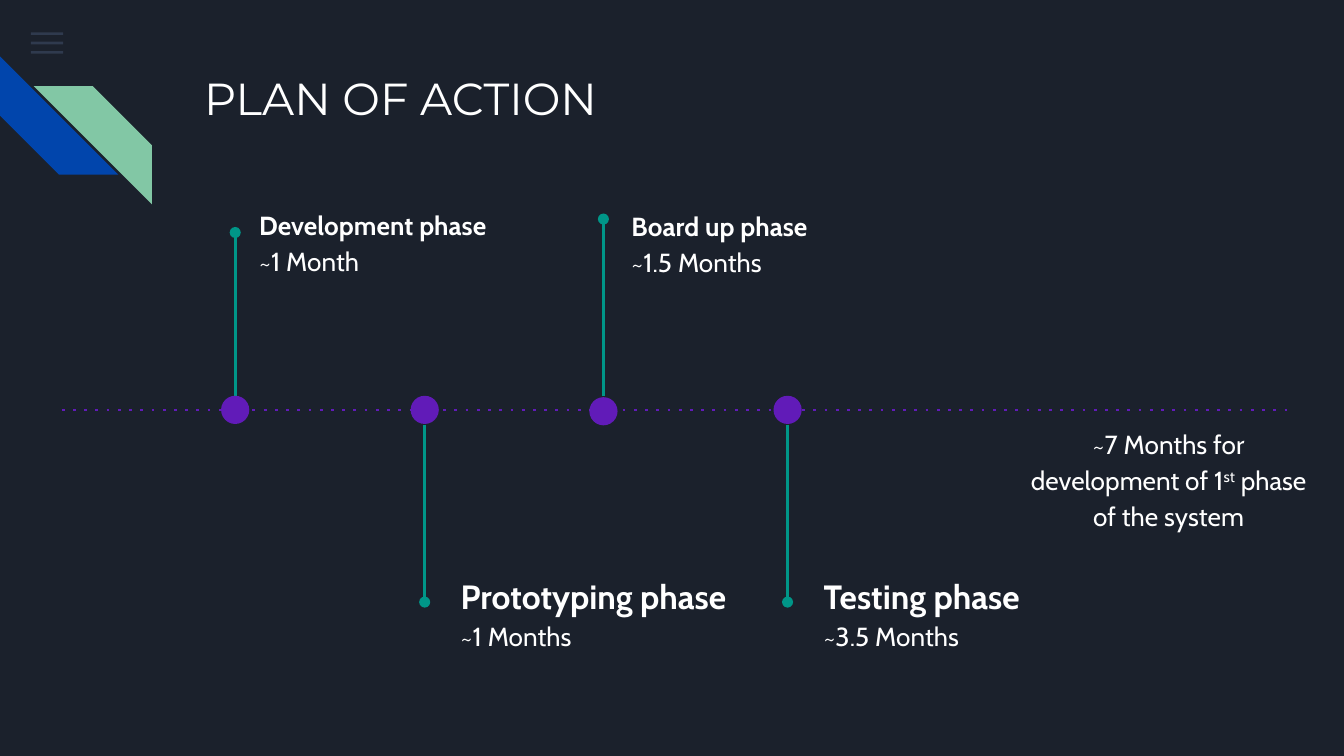
from lxml.etree import SubElement
from pptx import Presentation
from pptx.dml.color import RGBColor
from pptx.enum.shapes import MSO_CONNECTOR, MSO_SHAPE
from pptx.enum.text import PP_ALIGN
from pptx.oxml.ns import qn
from pptx.util import Inches, Pt

BACKGROUND, WHITE, MENU = "1B212C", "FFFFFF", "55688B"
BLUE, GREEN, PURPLE, TEAL = "0145AC", "82C7A5", "611BB8", "009688"
AXIS_Y, DOT, STEM = 3.05, 0.21, 1.32

# Name, duration, name size, axis position, dot centre, stem end, label left and top
PHASES = [
    ("Development phase", "~1 Month", 14, 1.75, AXIS_Y, 1.73, 1.83, 1.42),
    ("Prototyping phase", "~1 Months", 18, 3.16, AXIS_Y, 4.48, 3.33, 4.14),
    ("Board up phase", "~1.5 Months", 14, 4.49, AXIS_Y + 0.01, 1.63, 4.6, 1.43),
    ("Testing phase", "~3.5 Months", 18, 5.86, AXIS_Y, 4.48, 6.03, 4.14),
]
SUMMARY = ["~7 Months for development of 1", "st", " phase of the system"]

presentation = Presentation()
presentation.slide_width = Inches(10)
presentation.slide_height = Inches(10) * 9 // 16
slide = presentation.slides.add_slide(presentation.slide_layouts[6])


def color(value):
    return RGBColor.from_string(value)


def add_shape(kind, left, top, width, height, fill):
    shape = slide.shapes.add_shape(kind, *map(Inches, (left, top, width, height)))
    shape.shadow.inherit = False
    shape.fill.solid()
    shape.fill.fore_color.rgb = color(fill)
    shape.line.fill.background()
    return shape


def add_line(x1, y1, x2, y2, stroke, tag, **attributes):
    """Draw a line; the tag adds a dash or an arrowhead."""
    connector = slide.shapes.add_connector(
        MSO_CONNECTOR.STRAIGHT, *map(Inches, (x1, y1, x2, y2)))
    connector.line.color.rgb = color(stroke)
    connector.line.width = Pt(1.5)
    properties = connector._element.spPr
    SubElement(properties.find(qn("a:ln")), qn(tag), **attributes)
    SubElement(properties, qn("a:effectLst"))


def add_text(left, top, width, height, paragraphs, font="Cabin", spacing=1.15):
    """Each paragraph is a list of (text, size, bold) runs."""
    box = slide.shapes.add_textbox(*map(Inches, (left, top, width, height)))
    frame = box.text_frame
    frame.word_wrap = True
    frame.margin_left = frame.margin_right = Inches(0.1)
    frame.margin_top = frame.margin_bottom = Inches(0.1)
    for index, runs in enumerate(paragraphs):
        paragraph = frame.add_paragraph() if index else frame.paragraphs[0]
        paragraph.line_spacing = spacing
        for text, size, bold in runs:
            run = paragraph.add_run()
            run.text = text
            run.font.name, run.font.size, run.font.bold = font, Pt(size), bold
            run.font.color.rgb = color(WHITE)
    return frame


slide.background.fill.solid()
slide.background.fill.fore_color.rgb = color(BACKGROUND)

# Menu icon
for row in range(3):
    bar = add_shape(MSO_SHAPE.RECTANGLE, 0.23, 0.24 + 0.07 * row, 0.24, 0.02, MENU)
    fill_color = bar._element.spPr.find(qn("a:solidFill"))[0]
    SubElement(fill_color, qn("a:alpha"), val="36000")

# Corner stripes
blue_stripe = add_shape(MSO_SHAPE.DIAGONAL_STRIPE, 0, 0.42, 0.88, 0.88, BLUE)
blue_stripe.rotation = 270
green_stripe = add_shape(MSO_SHAPE.DIAGONAL_STRIPE, 0.25, 0.64, 0.88, 0.88, GREEN)
green_stripe._element.spPr.xfrm.set("flipH", "1")

# Title
add_text(1.42, 0.43, 7.7, 1, [[("PLAN OF ACTION", 24, False)]], "Montserrat", 1.0)

# Time axis
add_line(0.46, AXIS_Y, 9.58, AXIS_Y, PURPLE, "a:prstDash", val="dot")

# Phases: stem, dot and label
for name, duration, size, x, dot_y, end_y, left, top in PHASES:
    above = end_y < AXIS_Y
    start_y = end_y + STEM if above else end_y - STEM
    add_line(x, start_y, x, end_y, TEAL, "a:tailEnd", type="oval")
    add_shape(MSO_SHAPE.OVAL, x - DOT / 2, dot_y - DOT / 2, DOT, DOT, PURPLE)
    add_text(left, top, 2.12 if above else 2.53, 1.06,
             [[(name, size, True)], [(duration, 14, False)]])

# Total duration
summary = add_text(7.47, AXIS_Y, 2.45, 1.06, [[(text, 14, False) for text in SUMMARY]])
paragraph = summary.paragraphs[0]
paragraph.alignment = PP_ALIGN.CENTER
paragraph.space_after = Pt(16)
paragraph.runs[1].font._element.set("baseline", "30000")

presentation.save("out.pptx")
